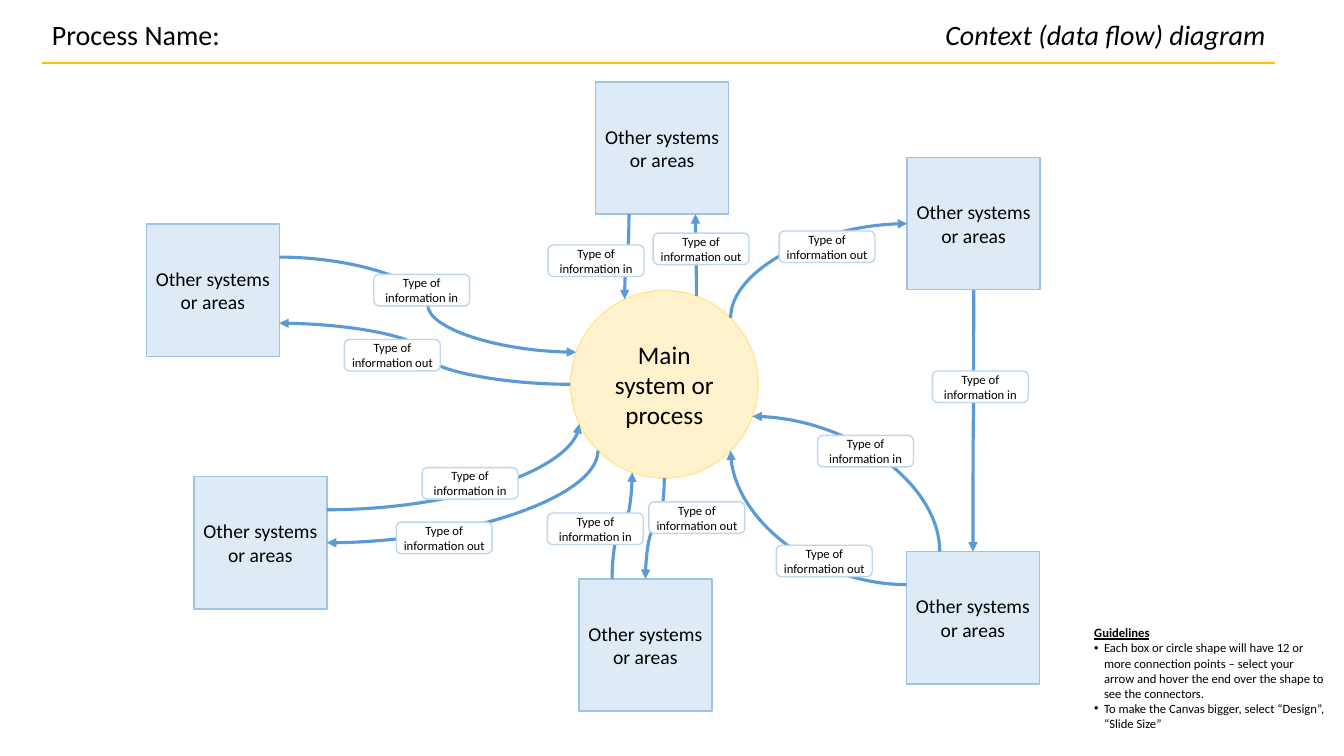
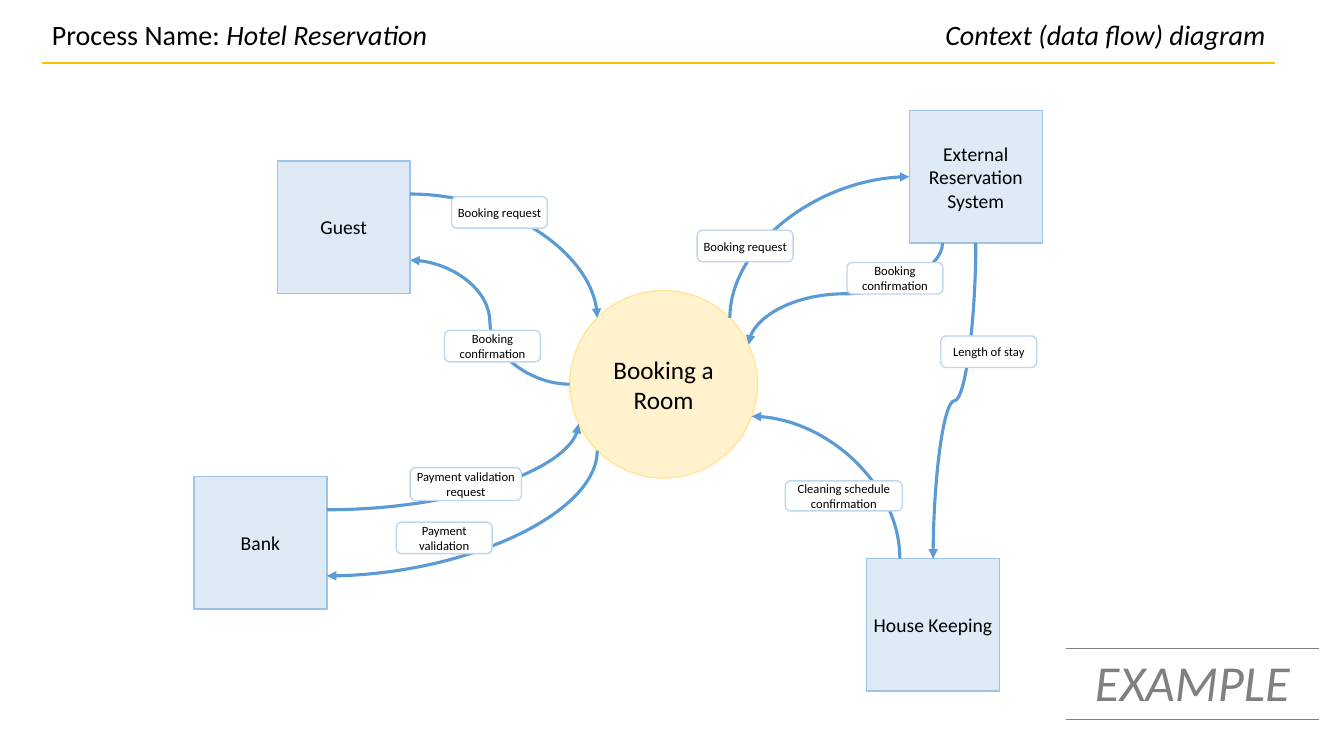
from math import cos, radians, sin

from lxml.etree import SubElement
from pptx import Presentation
from pptx.dml.color import RGBColor
from pptx.enum.shapes import MSO_CONNECTOR as Link, MSO_SHAPE as Preset
from pptx.enum.text import MSO_ANCHOR as Anchor, MSO_AUTO_SIZE as AutoSize, PP_ALIGN as Align
from pptx.oxml.ns import qn
from pptx.util import Pt

COLORS = {
    "text": "000000",
    "rule": "FFC000",
    "flow": "5B9BD5",
    "box": "DEEBF7",
    "box line": "9DC3E6",
    "circle": "FFF2CC",
    "circle line": "FFE699",
    "label": "FFFFFF",
    "label line": "BDD7EE",
    "stamp": "808080",
}
BOX_WIDTH, BOX_HEIGHT = 95, 94.5
CIRCLE_SIZE, CIRCLE_TOP = 134, 207.5
LABEL_SIZE = (68.5, 22.5)
INFO_IN, INFO_OUT = "Type of information in", "Type of information out"
OTHER = "Other systems or areas"

TEMPLATE = {
    "process": None,
    "title width": 291.5,
    "circle": (407.5, "Main system or process"),
    "boxes": {
        "west": (104.5, 160, OTHER),
        "southwest": (138.5, 340.5, OTHER),
        "south": (413.5, 413.5, OTHER),
        "north": (425.5, 58.5, OTHER),
        "northeast": (648, 112.5, OTHER),
        "southeast": (647.5, 394, OTHER),
    },
    "flows": [
        (("west", "right", 0.25), 200, 3),
        (180, ("west", "right", 0.75), 3),
        (("southwest", "right", 0.25), 155, 2),
        (135, ("southwest", "right", 0.5), 2),
        (("north", "bottom", 0.25), 245, 3),
        (290, ("north", "bottom", 0.75), 3),
        (315, ("northeast", "left", 0.5), 2),
        (("northeast", "bottom", 0.5), ("southeast", "top", 0.5), 3),
        (("southeast", "top", 0.25), 20, 2),
        (("southeast", "left", 0.25), 45, 2),
        (("south", "top", 0.25), 110, 3),
        (90, ("south", "top", 0.5), 3),
    ],
    "labels": [
        (267, 196, INFO_IN),
        (246, 242.5, INFO_OUT),
        (301.5, 334, INFO_IN),
        (283, 373, INFO_OUT),
        (391.5, 175, INFO_IN),
        (466.5, 166.5, INFO_OUT),
        (584, 311, INFO_IN),
        (554.5, 389.5, INFO_OUT),
        (666, 265, INFO_IN),
        (391, 366.5, INFO_IN),
        (463.5, 358.5, INFO_OUT),
        (556.5, 165, INFO_OUT),
    ],
}
EXAMPLE = {
    "process": "Hotel Reservation",
    "title width": 399.5,
    "circle": (407, "Booking a Room"),
    "boxes": {
        "guest": (198, 115, "Guest"),
        "bank": (138.5, 340.5, "Bank"),
        "external": (649.5, 79, "External Reservation System"),
        "house": (619, 399, "House Keeping"),
    },
    "flows": [
        (("guest", "right", 0.25), 225, 2),
        (180, ("guest", "right", 0.75), 3),
        (("bank", "right", 0.25), 155, 2),
        (135, ("bank", "right", 0.75), 2),
        (315, ("external", "left", 0.5), 2),
        (("external", "bottom", 0.5), ("house", "top", 0.5), 3),
        (("house", "top", 0.25), 20, 2),
        (("external", "bottom", 0.25), 335, 3),
    ],
    "labels": [
        (322.5, 140.5, "Booking request"),
        (317.5, 236, "Booking confirmation"),
        (293, 334, "Payment validation request", (79.5, 23.5)),
        (283, 373, "Payment validation"),
        (561, 343.5, "Cleaning schedule confirmation", (83.5, 21.5)),
        (672, 240, "Length of stay"),
        (498, 164.5, "Booking request"),
        (605, 187.5, "Booking confirmation"),
    ],
}


def color(name):
    return RGBColor.from_string(COLORS[name])


def set_values(target, values):
    for name, value in values.items():
        setattr(target, name, value)


def write_run(paragraph, text, size, ink="text", **formats):
    run = paragraph.add_run()
    run.text = text
    set_values(run.font, {"name": "Calibri", "size": Pt(size), **formats})
    run.font.color.rgb = color(ink)


def add_node(slide, preset, bounds, style, text, size, inset):
    shape = slide.shapes.add_shape(preset, *map(Pt, bounds))
    shape.shadow.inherit = False
    shape.fill.solid()
    shape.fill.fore_color.rgb = color(style)
    shape.line.color.rgb = color(style + " line")
    shape.line.width = Pt(1)
    margins = {"margin_" + side: Pt(inset) for side in ("left", "top", "right", "bottom")}
    set_values(shape.text_frame, {"word_wrap": True, "vertical_anchor": Anchor.MIDDLE, **margins})
    paragraph = shape.text_frame.paragraphs[0]
    paragraph.alignment = Align.CENTER
    write_run(paragraph, text, size)


def add_text_box(slide, bounds):
    frame = slide.shapes.add_textbox(*map(Pt, bounds)).text_frame
    set_values(frame, {"word_wrap": True, "auto_size": AutoSize.SHAPE_TO_FIT_TEXT})
    return frame


def add_line(slide, kind, start, end, ink, width):
    connector = slide.shapes.add_connector(kind, *map(Pt, start + end))
    connector.line.color.rgb = color(ink)
    connector.line.width = Pt(width)
    SubElement(connector.element.spPr, qn("a:effectLst"))
    return connector


def add_flow(slide, start, end, horizontal, bends):
    rotation = 0
    if not horizontal:
        (x1, y1), (x2, y2) = start, end
        down = y2 > y1
        rotation = 90 if down else 270
        middle_x, middle_y = (x1 + x2) / 2, (y1 + y2) / 2
        reach = abs(y2 - y1) / 2
        drift = (x1 - x2 if down else x2 - x1) / 2
        start = (middle_x - reach, middle_y - drift)
        end = (middle_x + reach, middle_y + drift)
    connector = add_line(slide, Link.CURVE, start, end, "flow", 2.25)
    properties = connector.element.spPr
    properties.find(qn("a:prstGeom")).set("prst", f"curvedConnector{bends}")
    if rotation:
        properties.find(qn("a:xfrm")).set("rot", str(rotation * 60000))
    SubElement(properties.find(qn("a:ln")), qn("a:tailEnd"), type="triangle")


def is_box(place):
    return isinstance(place, tuple)


def locate(diagram, place):
    if is_box(place):
        name, side, fraction = place
        left, top, _ = diagram["boxes"][name]
        across, along = {
            "left": (0, fraction),
            "right": (1, fraction),
            "top": (fraction, 0),
            "bottom": (fraction, 1),
        }[side]
        return left + across * BOX_WIDTH, top + along * BOX_HEIGHT
    radius = CIRCLE_SIZE / 2
    angle = radians(place)
    center_x = diagram["circle"][0] + radius
    return center_x + radius * cos(angle), CIRCLE_TOP + radius * (1 + sin(angle))


def starts_horizontal(start, end, bends):
    _, side, _ = start if is_box(start) else end
    horizontal = side in ("left", "right")
    return horizontal if is_box(start) or bends == 3 else not horizontal


def add_header(slide, process, title_width):
    add_line(slide, Link.STRAIGHT, (30, 45), (911, 45), "rule", 1.5)
    paragraph = add_text_box(slide, (30, 9, title_width, 31.5)).paragraphs[0]
    write_run(paragraph, "Process Name: " if process else "Process Name:", 20)
    if process:
        write_run(paragraph, process, 20, italic=True)
    paragraph = add_text_box(slide, (569.5, 9, 341.5, 31.5)).paragraphs[0]
    paragraph.alignment = Align.RIGHT
    write_run(paragraph, "Context (data flow) diagram", 20, italic=True)


def add_diagram(presentation, diagram):
    slide = presentation.slides.add_slide(presentation.slide_layouts[6])
    add_header(slide, diagram["process"], diagram["title width"])
    left, text = diagram["circle"]
    bounds = (left, CIRCLE_TOP, CIRCLE_SIZE, CIRCLE_SIZE)
    add_node(slide, Preset.OVAL, bounds, "circle", text, 18, 3)
    for left, top, text in diagram["boxes"].values():
        bounds = (left, top, BOX_WIDTH, BOX_HEIGHT)
        add_node(slide, Preset.RECTANGLE, bounds, "box", text, 14, 3)
    for start, end, bends in diagram["flows"]:
        points = locate(diagram, start), locate(diagram, end)
        add_flow(slide, *points, starts_horizontal(start, end, bends), bends)
    for left, top, text, *size in diagram["labels"]:
        bounds = (left, top, *(size[0] if size else LABEL_SIZE))
        add_node(slide, Preset.ROUNDED_RECTANGLE, bounds, "label", text, 9, 0)
    return slide


def add_guidelines(slide, items):
    frame = add_text_box(slide, (774.5, 443, 178.5, 83.5))
    write_run(frame.paragraphs[0], "Guidelines", 9, bold=True, underline=True)
    for item in items:
        paragraph = frame.add_paragraph()
        properties = paragraph._p.get_or_add_pPr()
        properties.set("marL", str(Pt(7)))
        properties.set("indent", str(-Pt(7)))
        SubElement(properties, qn("a:buFont"), typeface="Arial")
        SubElement(properties, qn("a:buChar"), char="•")
        write_run(paragraph, item, 9)


def add_stamp(slide, text):
    table = slide.shapes.add_table(1, 1, *map(Pt, (761, 463.5, 181.5, 50.5))).table
    set_values(table, {"first_row": False, "horz_banding": False})
    cell = table.cell(0, 0)
    properties = cell._tc.get_or_add_tcPr()
    for side, ink in (("L", "label"), ("R", "label"), ("T", "stamp"), ("B", "stamp")):
        border = SubElement(properties, qn("a:ln" + side), w=str(Pt(1)))
        fill = SubElement(border, qn("a:solidFill"))
        SubElement(fill, qn("a:srgbClr"), val=COLORS[ink])
    cell.fill.background()
    paragraph = cell.text_frame.paragraphs[0]
    paragraph.alignment = Align.CENTER
    write_run(paragraph, text, 36, "stamp", italic=True)


def main():
    """Build the context diagram template and its worked example."""
    presentation = Presentation()
    set_values(presentation, {"slide_width": Pt(960), "slide_height": Pt(540)})
    add_guidelines(add_diagram(presentation, TEMPLATE), [
        "Each box or circle shape will have 12 or more connection points – select your arrow "
        "and hover the end over the shape to see the connectors.",
        "To make the Canvas bigger, select “Design”, “Slide Size”",
    ])
    add_stamp(add_diagram(presentation, EXAMPLE), "EXAMPLE")
    presentation.save("out.pptx")


if __name__ == "__main__":
    main()
